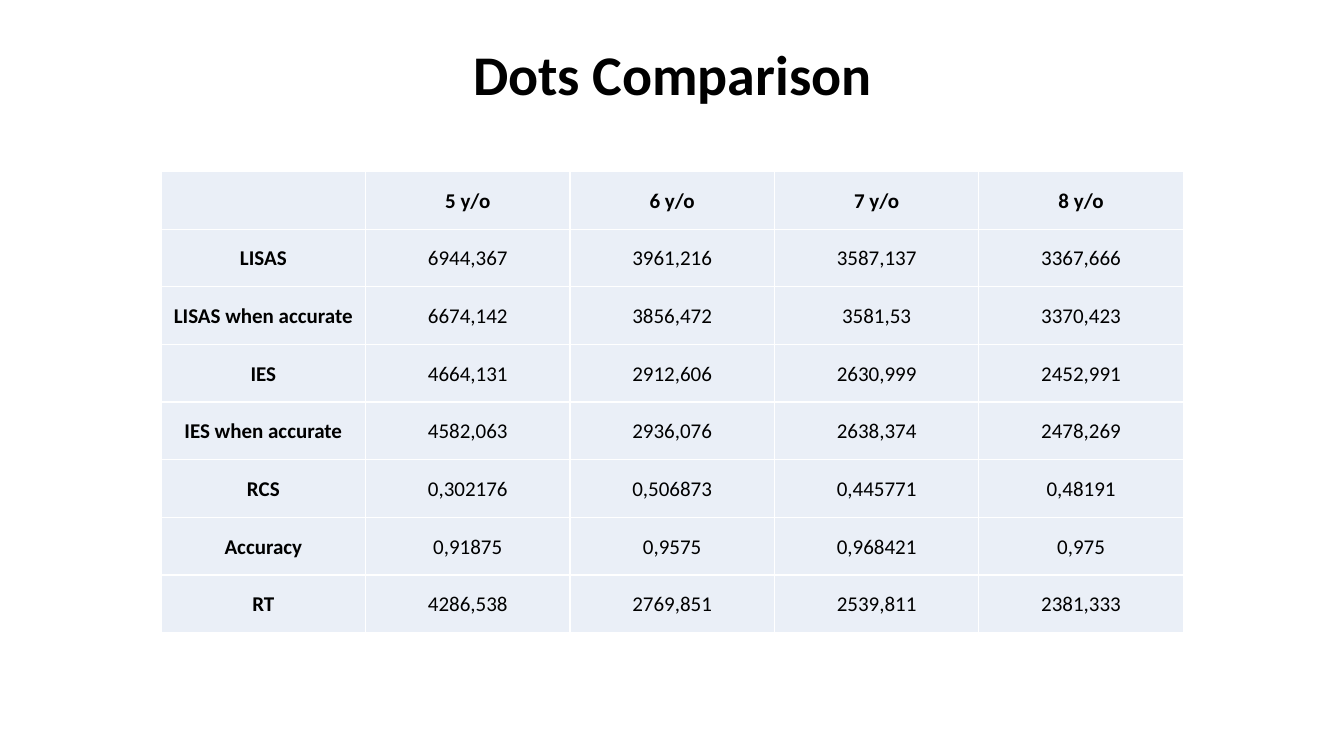
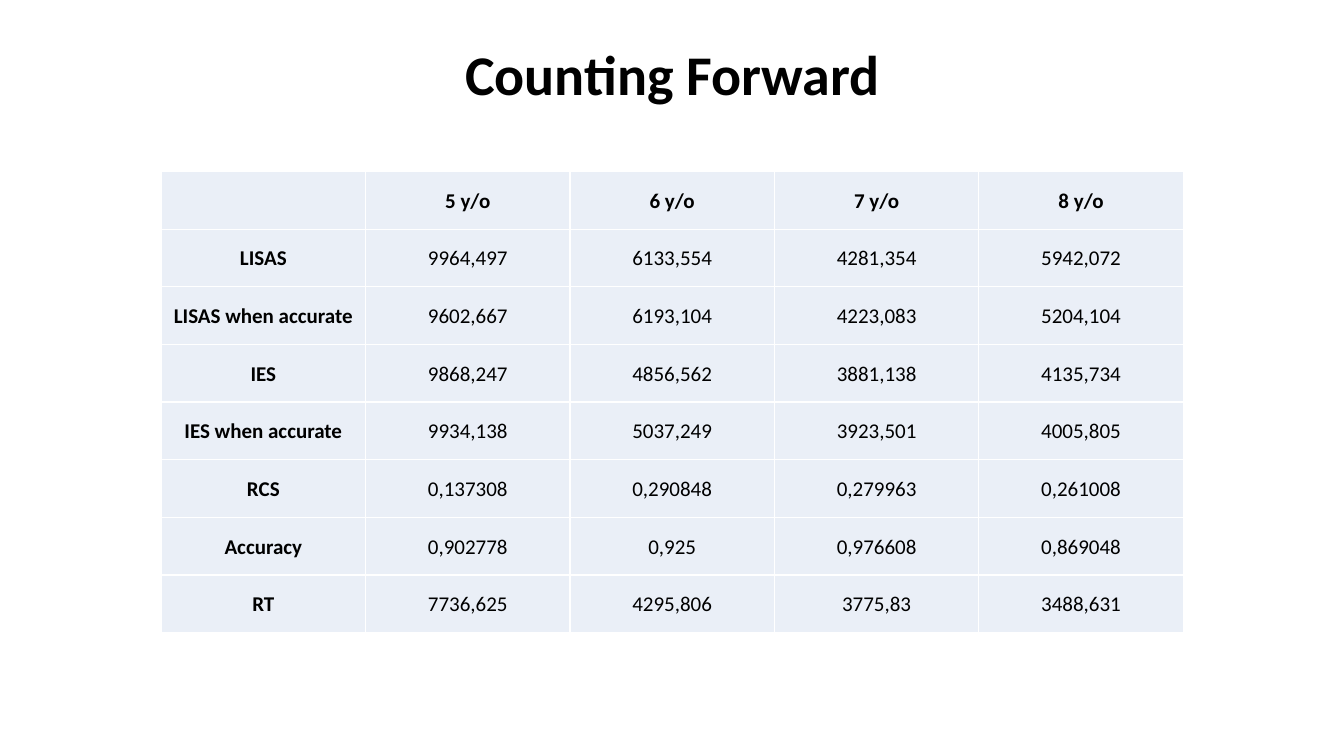
from pptx import Presentation
from pptx import util as u
from pptx.dml import color
from pptx.enum import text
from pptx.oxml import parse_xml
from pptx.oxml import ns

AGES = ["5 y/o", "6 y/o", "7 y/o", "8 y/o"]
MEASURES = ["LISAS", "LISAS when accurate", "IES", "IES when accurate",
            "RCS", "Accuracy", "RT"]
TASKS = {
    "Dots Comparison": [
        ["6944,367", "3961,216", "3587,137", "3367,666"],
        ["6674,142", "3856,472", "3581,53", "3370,423"],
        ["4664,131", "2912,606", "2630,999", "2452,991"],
        ["4582,063", "2936,076", "2638,374", "2478,269"],
        ["0,302176", "0,506873", "0,445771", "0,48191"],
        ["0,91875", "0,9575", "0,968421", "0,975"],
        ["4286,538", "2769,851", "2539,811", "2381,333"],
    ],
    "Counting Forward": [
        ["9964,497", "6133,554", "4281,354", "5942,072"],
        ["9602,667", "6193,104", "4223,083", "5204,104"],
        ["9868,247", "4856,562", "3881,138", "4135,734"],
        ["9934,138", "5037,249", "3923,501", "4005,805"],
        ["0,137308", "0,290848", "0,279963", "0,261008"],
        ["0,902778", "0,925", "0,976608", "0,869048"],
        ["7736,625", "4295,806", "3775,83", "3488,631"],
    ],
}


def rgb(value):
    return color.RGBColor.from_string(value)


class ResultsDeck:
    FONT = "Calibri"
    INK = "000000"
    CELL_FILL = "EAEFF7"
    BORDER = "FFFFFF"
    TITLE_SIZE = 40
    CELL_SIZE = 15

    def __init__(self):
        self.deck = Presentation()
        self.deck.slide_width = u.Cm(33.87)
        self.deck.slide_height = u.Cm(19.05)
        self.page = None

    def add_page(self):
        self.page = self.deck.slides.add_slide(self.deck.slide_layouts[6])

    def add_text(self, para, words, size, bold):
        para.alignment = text.PP_ALIGN.CENTER
        span = para.add_run()
        span.text = words
        span.font.name = self.FONT
        span.font.size = u.Pt(size)
        span.font.bold = bold
        span.font.color.rgb = rgb(self.INK)

    def title(self, words):
        box = self.page.shapes.add_textbox(u.Cm(2.34), u.Cm(1.02), u.Cm(29.21), u.Cm(1.88))
        frame = box.text_frame
        frame.word_wrap = True
        frame.vertical_anchor = text.MSO_ANCHOR.MIDDLE
        para = frame.paragraphs[0]
        para.line_spacing = 0.9
        self.add_text(para, words, self.TITLE_SIZE, True)

    def borders(self, cell):
        properties = cell._tc.get_or_add_tcPr()
        for side in "LRTB":
            properties.append(parse_xml(
                f'<a:ln{side} {ns.nsdecls("a")} w="{u.Pt(1)}"><a:solidFill>'
                f'<a:srgbClr val="{self.BORDER}"/></a:solidFill></a:ln{side}>'))

    def cell(self, cell, words, bold):
        self.borders(cell)
        cell.fill.solid()
        cell.fill.fore_color.rgb = rgb(self.CELL_FILL)
        cell.vertical_anchor = text.MSO_ANCHOR.MIDDLE
        cell.margin_left = cell.margin_right = cell.margin_top = u.Cm(0.03)
        cell.margin_bottom = 0
        if words:
            self.add_text(cell.text_frame.paragraphs[0], words, self.CELL_SIZE, bold)

    def table(self, rows):
        table = self.page.shapes.add_table(
            len(rows), len(rows[0]), u.Cm(4.06), u.Cm(4.32), u.Cm(25.76), u.Cm(11.63)).table
        table.first_row = table.horz_banding = False
        for r, row in enumerate(rows):
            for c, words in enumerate(row):
                self.cell(table.cell(r, c), words, r == 0 or c == 0)


def main():
    results = ResultsDeck()
    for task, values in TASKS.items():
        results.add_page()
        results.title(task)
        results.table([["", *AGES]] + [[name, *row] for name, row in zip(MEASURES, values)])
    results.deck.save("out.pptx")


if __name__ == "__main__":
    main()
